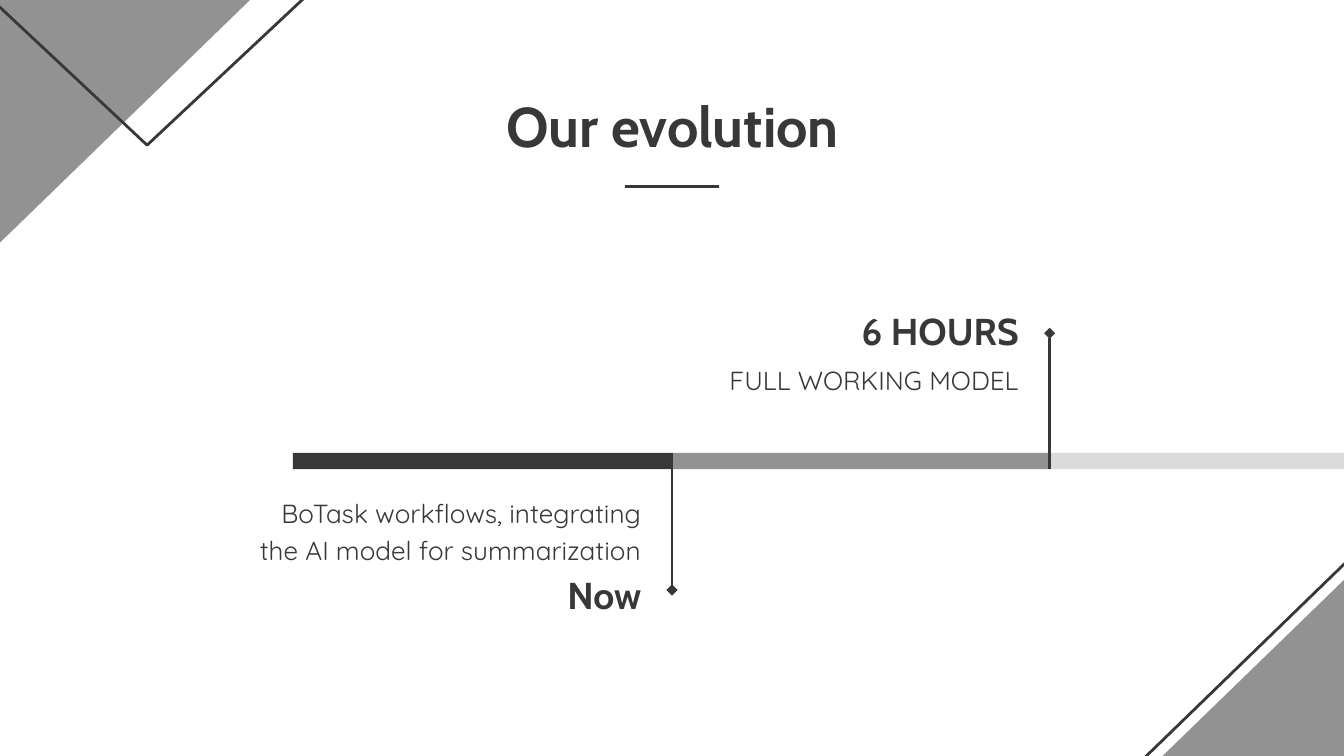
from dataclasses import dataclass

from lxml import etree
from pptx import Presentation
from pptx.dml.color import RGBColor
from pptx.enum.shapes import MSO_CONNECTOR, MSO_SHAPE
from pptx.enum.text import MSO_ANCHOR, MSO_AUTO_SIZE, PP_ALIGN
from pptx.oxml.ns import qn
from pptx.util import Inches, Pt

STRAIGHT = MSO_CONNECTOR.STRAIGHT
RECTANGLE = MSO_SHAPE.RECTANGLE
RIGHT_TRIANGLE = MSO_SHAPE.RIGHT_TRIANGLE
TRIANGLE = MSO_SHAPE.ISOSCELES_TRIANGLE
TOP = MSO_ANCHOR.TOP
NO_AUTOFIT = MSO_AUTO_SIZE.NONE
CENTER, RIGHT = PP_ALIGN.CENTER, PP_ALIGN.RIGHT

COLORS = {"dark": "383838", "gray": "929292", "light": "DBDBDB"}
HEADING_FONT, BODY_FONT = "Cabin", "Quicksand"
LINE_WIDTH = Pt(1.5)

# Timeline geometry
BAR_LEFT, BAR_TOP = 2.18, 3.37
BAR_WIDTH, BAR_HEIGHT = 2.82, 0.12


@dataclass
class Box:
    left: float
    top: float
    width: float
    height: float

    def lengths(self):
        return [Inches(n) for n in (self.left, self.top, self.width, self.height)]


@dataclass
class CornerShape:
    kind: int
    box: Box
    filled: bool
    rotation: int = 0


@dataclass
class Milestone:
    heading: str
    heading_box: Box
    detail: str
    detail_box: Box
    marker_x: float
    marker_y: float
    bar_y: float


CORNER_SHAPES = [
    CornerShape(RIGHT_TRIANGLE, Box(7.68, 2.84, 3.72, 3.61), False),
    CornerShape(RIGHT_TRIANGLE, Box(7.8, 2.84, 3.72, 3.61), True),
    CornerShape(RIGHT_TRIANGLE, Box(-0.83, -1, 3.72, 3.61), True, 180),
    CornerShape(TRIANGLE, Box(-1.84, -1.67, 5.87, 2.75), False, 180),
]

MILESTONES = [
    Milestone("6 HOURS", Box(5.14, 2.19, 2.54, 0.48),
              "FULL WORKING MODEL", Box(5.14, 2.58, 2.54, 0.53),
              7.81, 2.48, BAR_TOP + BAR_HEIGHT),
    Milestone("Now", Box(2.33, 4.16, 2.54, 0.48),
              "BoTask workflows, integrating the AI model for summarization",
              Box(1.83, 3.57, 3.04, 0.53),
              5, 4.39, BAR_TOP),
]


def color(name: str) -> RGBColor:
    return RGBColor.from_string(COLORS[name])


def add_shape(slide, kind: int, box: Box, fill: str | None):
    """Add a filled shape, or a dark outline when there is no fill."""
    shape = slide.shapes.add_shape(kind, *box.lengths())
    shape.shadow.inherit = False
    if fill:
        shape.fill.solid()
        shape.fill.fore_color.rgb = color(fill)
        shape.line.fill.background()
    else:
        shape.fill.background()
        shape.line.color.rgb = color("dark")
        shape.line.width = LINE_WIDTH
    return shape


def add_corner_shape(slide, corner: CornerShape) -> None:
    shape = add_shape(slide, corner.kind, corner.box, "gray" if corner.filled else None)
    shape.rotation = corner.rotation
    shape._element.spPr.find(qn("a:xfrm")).set("flipH", "1")


def add_line(slide, start: tuple, end: tuple, diamond: bool = False) -> None:
    """Add a dark line, optionally with a diamond at its start."""
    points = [Inches(n) for n in (*start, *end)]
    connector = slide.shapes.add_connector(STRAIGHT, *points)
    connector.line.color.rgb = color("dark")
    connector.line.width = LINE_WIDTH
    properties = connector._element.spPr
    if diamond:
        outline = properties.find(qn("a:ln"))
        etree.SubElement(outline, qn("a:headEnd"), type="diamond")
    etree.SubElement(properties, qn("a:effectLst"))


def write_text(shape, text: str, font: str, size: int, alignment: int,
               bold: bool = False, spacing: float = 1.0) -> None:
    frame = shape.text_frame
    frame.text = text
    frame.word_wrap = True
    frame.auto_size = NO_AUTOFIT
    frame.vertical_anchor = TOP
    frame.margin_left = frame.margin_right = Inches(0.1)
    frame.margin_top = frame.margin_bottom = Inches(0.1)
    paragraph = frame.paragraphs[0]
    paragraph.alignment = alignment
    paragraph.line_spacing = spacing
    paragraph.space_before = Pt(0)
    run_font = paragraph.runs[0].font
    run_font.name = font
    run_font.size = Pt(size)
    run_font.bold = bold
    run_font.color.rgb = color("dark")


def add_milestone(slide, milestone: Milestone) -> None:
    heading = slide.shapes.add_textbox(*milestone.heading_box.lengths())
    write_text(heading, milestone.heading, HEADING_FONT, 20, RIGHT, bold=True)
    detail = slide.shapes.add_textbox(*milestone.detail_box.lengths())
    write_text(detail, milestone.detail, BODY_FONT, 14, RIGHT, spacing=1.15)
    add_line(slide, (milestone.marker_x, milestone.marker_y),
             (milestone.marker_x, milestone.bar_y), diamond=True)


def main() -> None:
    # Widescreen 16:9 slide
    presentation = Presentation()
    presentation.slide_width = Inches(10)
    presentation.slide_height = Inches(10) * 9 // 16
    slide = presentation.slides.add_slide(presentation.slide_layouts[5])

    # Corner decoration
    for corner in CORNER_SHAPES:
        add_corner_shape(slide, corner)

    # Title and its rule
    title = slide.shapes.title
    title.left, title.top, title.width, title.height = Box(0.98, 0.58, 8.05, 0.58).lengths()
    write_text(title, "Our evolution", HEADING_FONT, 30, CENTER, bold=True)
    add_line(slide, (4.65, 1.39), (5.35, 1.39))

    # Timeline bar
    for index, fill in enumerate(COLORS):
        box = Box(BAR_LEFT + index * BAR_WIDTH, BAR_TOP, BAR_WIDTH, BAR_HEIGHT)
        add_shape(slide, RECTANGLE, box, fill)

    # Milestones
    for milestone in MILESTONES:
        add_milestone(slide, milestone)

    presentation.save("out.pptx")


if __name__ == "__main__":
    main()
